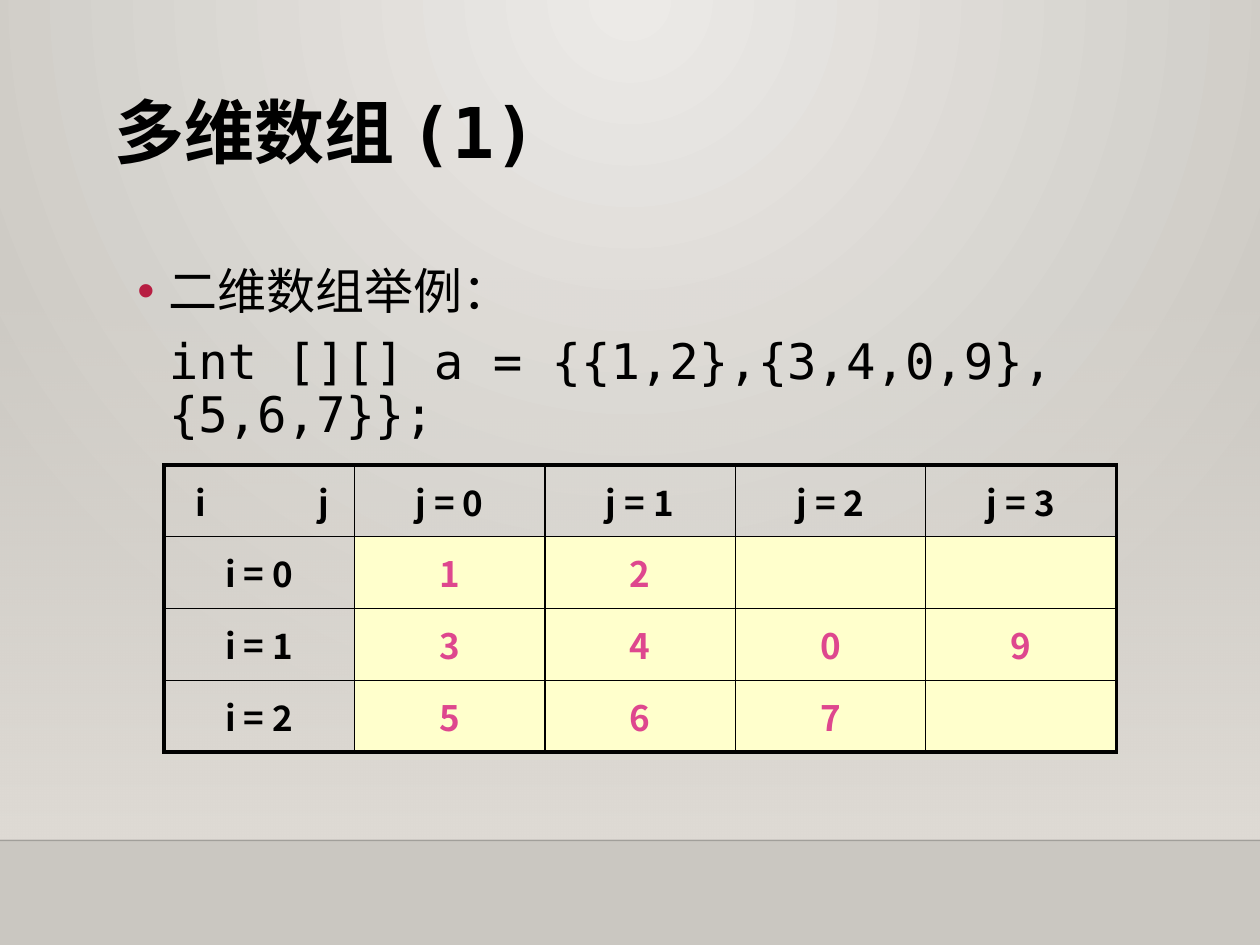
"""Build a slide on multidimensional arrays with a table of a ragged array."""
from typing import NamedTuple

import pptx
import pptx.dml.color
import pptx.enum.shapes
import pptx.enum.text
import pptx.oxml
import pptx.oxml.ns
import pptx.oxml.xmlchemy
import pptx.util
from lxml import etree
from pptx.dml.color import RGBColor
from pptx.util import Inches

BLACK = RGBColor(0x00, 0x00, 0x00)
PINK = RGBColor(0xDE, 0x47, 0x8E)
CREAM = RGBColor(0xFF, 0xFF, 0xCC)
BAND = RGBColor(0xDF, 0xDB, 0xD5)
BG_LIGHT = RGBColor(0xEC, 0xEA, 0xE7)
BG_DARK = RGBColor(0xCA, 0xC7, 0xC1)
BULLET = RGBColor(0xB7, 0x1E, 0x42)
MONO, SANS = "DejaVu Sans Mono", "Noto Sans CJK SC"
ARRAY = [[1, 2], [3, 4, 0, 9], [5, 6, 7]]
COLS = 4
THIN, THICK = 1, 2.25


class TextStyle(NamedTuple):
    font: str
    size: float
    color: RGBColor = BLACK
    bold: bool = False


TITLE = TextStyle(MONO, 40, bold=True)
BODY = TextStyle(MONO, 28)
HEADER = TextStyle(SANS, 20, bold=True)
VALUE = TextStyle(SANS, 20, PINK, True)


def sub(parent, tag: str, **attrs):
    """Append a namespaced child element."""
    return etree.SubElement(parent, pptx.oxml.ns.qn(tag), attrs)


def style_paragraph(p, style: TextStyle) -> None:
    """Format every run of a paragraph."""
    for r in p.runs:
        r.font.name, r.font.bold = style.font, style.bold
        r.font.size = pptx.util.Pt(style.size)
        r.font.color.rgb = style.color
        sub(r._r.get_or_add_rPr(), "a:ea", typeface=SANS)


def set_gradient(fill, start: RGBColor, end: RGBColor) -> None:
    """Give a fill a two-stop gradient."""
    fill.gradient()
    for stop, color, position in zip(fill.gradient_stops, (start, end), (0, 1)):
        stop.color.rgb, stop.position = color, position


def place(sp, left: float, top: float, width: float, height: float):
    """Move a placeholder and return its text frame, anchored at the top."""
    sp.left, sp.top = Inches(left), Inches(top)
    sp.width, sp.height = Inches(width), Inches(height)
    tf = sp.text_frame
    tf.word_wrap = True
    tf.auto_size = pptx.enum.text.MSO_AUTO_SIZE.NONE
    tf.vertical_anchor = pptx.enum.text.MSO_ANCHOR.TOP
    return tf


def add_backdrop(s) -> None:
    """Draw the background gradient, the fading band and the floor line."""
    set_gradient(s.background.fill, BG_LIGHT, BG_DARK)
    lin = s.element.find(".//" + pptx.oxml.ns.qn("a:lin"))
    grad = lin.getparent()
    grad.remove(lin)
    path = sub(grad, "a:path", path="circle")
    sub(path, "a:fillToRect", l="43000", t="0", r="43000", b="100000")

    band = s.shapes.add_shape(pptx.enum.shapes.MSO_SHAPE.RECTANGLE,
                              0, Inches(2.2), Inches(10), Inches(4.46))
    band.shadow.inherit = False
    band.line.fill.background()
    set_gradient(band.fill, BAND, BAND)
    band.fill.gradient_angle = 270
    sub(band.element.find(".//" + pptx.oxml.ns.qn("a:srgbClr")), "a:alpha", val="0")

    floor = s.shapes.add_connector(pptx.enum.shapes.MSO_CONNECTOR.STRAIGHT,
                                   0, Inches(6.67), Inches(10), Inches(6.67))
    floor.line.color.rgb, floor.line.width = BLACK, pptx.util.Pt(1)
    sub(floor.element.find(".//" + pptx.oxml.ns.qn("a:srgbClr")), "a:alpha", val="20000")
    sub(floor.element.spPr, "a:effectLst")
    for i, sp in enumerate((band, floor)):
        s.shapes._spTree.insert(2 + i, sp.element)


def add_body(sp) -> None:
    """Write the bulleted line and the code line under it."""
    tf = place(sp, 0.99, 2.07, 8.26, 1.11)
    tf.text = "二维数组举例：\nint [][] a = {{1,2},{3,4,0,9},{5,6,7}};"
    for p, bulleted in zip(tf.paragraphs, (True, False)):
        p.line_spacing, p.space_before = 0.9, pptx.util.Pt(10)
        pPr = p._p.get_or_add_pPr()
        pPr.set("marL", str(Inches(0.25)))
        pPr.set("indent", str(Inches(-0.25 if bulleted else 0)))
        if bulleted:
            sub(sub(pPr, "a:buClr"), "a:srgbClr", val=str(BULLET))
            sub(pPr, "a:buFont", typeface="Arial")
            sub(pPr, "a:buChar", char="•")
        else:
            sub(pPr, "a:buNone")
        style_paragraph(p, BODY)


def set_borders(cell, widths: dict[str, float]) -> None:
    """Draw black borders, which come before the fill in the cell properties."""
    tcPr = cell._tc.get_or_add_tcPr()
    for i, (side, width) in enumerate(widths.items()):
        ln = sub(tcPr, f"a:ln{side}", w=str(pptx.util.Pt(width)))
        sub(sub(ln, "a:solidFill"), "a:srgbClr", val=str(BLACK))
        tcPr.insert(i, ln)


def add_array_table(s) -> None:
    """Draw the array with row and column headers."""
    rows = [["i\tj"] + [f"j = {j}" for j in range(COLS)]]
    rows += [[f"i = {i}"] + [str(v) for v in values] + [""] * (COLS - len(values))
             for i, values in enumerate(ARRAY)]
    n_rows, n_cols = len(rows), COLS + 1
    table = s.shapes.add_table(n_rows, n_cols, Inches(1.3), Inches(3.69),
                               Inches(7.56), Inches(2.28)).table
    table.first_row = table.horz_banding = False
    for i, row in enumerate(rows):
        for j, text in enumerate(row):
            cell = table.cell(i, j)
            is_value = i > 0 and j > 0
            if is_value:
                cell.fill.solid()
                cell.fill.fore_color.rgb = CREAM
            else:
                cell.fill.background()
            set_borders(cell, {
                "L": THICK if j == 0 else THIN,
                "R": THICK if j == n_cols - 1 else THIN,
                "T": THICK if i == 0 else THIN,
                "B": THICK if i == n_rows - 1 else THIN,
            })
            cell.vertical_anchor = pptx.enum.text.MSO_ANCHOR.MIDDLE
            cell.text_frame.text = text
            p = cell.text_frame.paragraphs[0]
            p.alignment = pptx.enum.text.PP_ALIGN.CENTER
            p.space_before = pptx.util.Pt(4)
            style_paragraph(p, VALUE if is_value else HEADER)
    corner = table.cell(0, 0)
    corner.margin_left = Inches(0.25)
    p = corner.text_frame.paragraphs[0]
    p.alignment = pptx.enum.text.PP_ALIGN.LEFT
    tabs = sub(p._p.get_or_add_pPr(), "a:tabLst")
    sub(tabs, "a:tab", pos=str(Inches(0.98)), algn="l")


def main() -> None:
    """Assemble the slide and save it."""
    prs = pptx.Presentation()
    prs.slide_width, prs.slide_height = Inches(10), Inches(7.5)
    s = prs.slides.add_slide(prs.slide_layouts[1])
    add_backdrop(s)
    tf = place(s.shapes.title, 0.81, 0.73, 8.52, 1.2)
    tf.text = "多维数组 (1)"
    p = tf.paragraphs[0]
    p.alignment = pptx.enum.text.PP_ALIGN.LEFT
    p.line_spacing = 0.9
    style_paragraph(p, TITLE)
    add_body(s.placeholders[1])
    add_array_table(s)
    prs.save("out.pptx")


if __name__ == "__main__":
    main()
